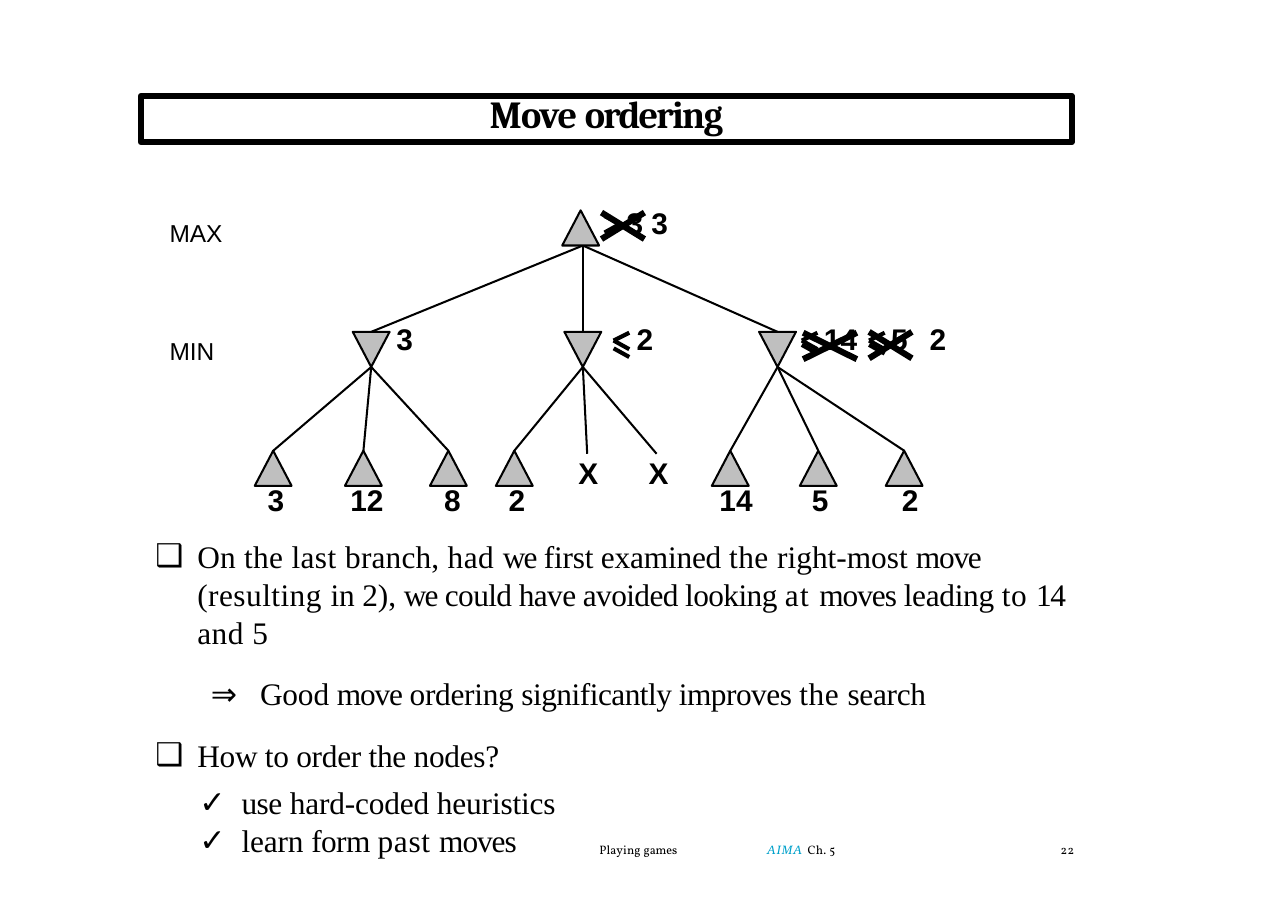
import pptx
import pptx.util
import pptx.dml.color
import pptx.enum.shapes
import pptx.enum.text
import pptx.oxml
import pptx.oxml.ns
import lxml.etree

Cm, Pt = pptx.util.Cm, pptx.util.Pt
PRESET = pptx.enum.shapes.MSO_SHAPE
BLACK = pptx.dml.color.RGBColor(0x00, 0x00, 0x00)
GREY = pptx.dml.color.RGBColor(0xBF, 0xBF, 0xBF)
CYAN = pptx.dml.color.RGBColor(0x00, 0xA1, 0xCB)
SERIF = "Times New Roman"

# Tree geometry in centimetres
NODE_WIDTH, NODE_HEIGHT = 0.85, 0.81
ROOT_TOP, MIN_TOP, LEAF_TOP = 4.85, 7.65, 10.39
ROOT_X = 13.44
# Each branch: x of the MIN node, then (x, label, label x) of its leaves
BRANCHES = [
    (8.56, [(6.3, "3", 6.17), (8.38, "12", 8.08), (10.34, "8", 10.24)]),
    (13.44, [(11.86, "2", 11.73), (13.54, "X", 13.34), (15.14, "X", 14.96)]),
    (17.93, [(16.84, "14", 16.59), (18.87, "5", 18.72), (20.85, "2", 20.8)]),
]
MIN_VALUES = [(9.14, "3"), (14.68, "2"), (19, "14"), (20.55, "5"), (21.44, "2")]

# Body text as (words, letter spacing in points)
BRANCH_NOTE = [
    ("On ", 0.1), ("the last ", 0.25), ("branch, ", 0.1), ("had ", 0.3),
    ("we ", -1.1), ("first examined ", -0.15), ("the ", 0.3),
    ("right-most ", 0), ("move ", -0.8), ("(resulting ", 0.3),
    ("in 2), ", -0.1), ("we ", -1.1), ("could have avoided looking ", -0.4),
    ("at ", 0.9), ("moves ", -0.7), ("leading ", -0.2), ("to ", 0.4),
    ("14 ", -0.8), ("and ", 0.3), ("5", -0.8),
]
CONCLUSION = [
    ("⇒ ", 5.2), ("Good ", -0.1), ("move ", -0.8), ("ordering ", -0.2),
    ("significantly improves ", -0.35), ("the ", 0.3), ("search", -0.2),
]
QUESTION = [("How to order the nodes?", -0.2)]
HEURISTICS = [("use ", -0.3), ("hard-coded heuristics", -0.1)]
LEARNING = [("learn ", -0.1), ("form ", -0.4), ("past ", 0.4), ("moves", -0.7)]


def format_span(span, font, size, bold=False, color=BLACK, spacing=0):
    span.font.name = font
    span.font.size = Pt(size)
    span.font.bold = bold
    span.font.color.rgb = color
    span._r.get_or_add_rPr().set("spc", str(round(spacing * 100)))


def add_spans(para, pieces, font, size, bold=False):
    for words, spacing in pieces:
        span = para.add_run()
        span.text = words
        format_span(span, font, size, bold, spacing=spacing)


def set_frame(frame):
    frame.margin_left = frame.margin_right = 0
    frame.margin_top = frame.margin_bottom = 0
    frame.vertical_anchor = pptx.enum.text.MSO_ANCHOR.TOP
    frame.auto_size = pptx.enum.text.MSO_AUTO_SIZE.NONE
    frame.word_wrap = True


def move(shape, left, top, width, height):
    shape.left, shape.top = Cm(left), Cm(top)
    shape.width, shape.height = Cm(width), Cm(height)


def add_text(page, left, top, words, size=19.5, bold=True, width=1.5):
    box = page.shapes.add_textbox(Cm(left), Cm(top), Cm(width), Cm(0.8))
    set_frame(box.text_frame)
    box.text_frame.text = words
    format_span(box.text_frame.paragraphs[0].runs[0], "Arial", size, bold)


def add_footer(page, left, width, pieces):
    box = page.shapes.add_textbox(Cm(left), Cm(19.46), Cm(width), Cm(0.36))
    set_frame(box.text_frame)
    para = box.text_frame.paragraphs[0]
    para.line_spacing = Pt(8.6)
    add_spans(para, pieces, "Vollkorn", 8)
    return para


def add_line(page, x1, y1, x2, y2, width=1.34):
    line = page.shapes.add_connector(
        pptx.enum.shapes.MSO_CONNECTOR.STRAIGHT, Cm(x1), Cm(y1), Cm(x2), Cm(y2))
    line.line.color.rgb = BLACK
    line.line.width = Pt(width)
    lxml.etree.SubElement(line._element.spPr, pptx.oxml.ns.qn("a:effectLst"))


def add_node(page, preset, center, top):
    node = page.shapes.add_shape(preset, Cm(center - NODE_WIDTH / 2), Cm(top),
                                 Cm(NODE_WIDTH), Cm(NODE_HEIGHT))
    node.shadow.inherit = False
    node.fill.solid()
    node.fill.fore_color.rgb = GREY
    node.line.color.rgb = BLACK
    node.line.width = Pt(1.34)


def add_inequality(page, tip, top, reach=0.36, drop=0.1):
    """Draw ≤, or ≥ when reach is negative."""
    for start, end in [(0.18, 0), (0.18, 0.38), (0.18 + drop, 0.38 + drop)]:
        add_line(page, tip, top + start, tip + reach, top + end, 2.68)


def add_cross(page, left, top, width):
    for start, end in [(0, 0.61), (0.61, 0)]:
        add_line(page, left, top + start, left + width, top + end, 4.02)


def add_item(para, pieces, before, after=0, margin=0.99, bullet=None):
    para.space_before, para.space_after = Pt(before), Pt(after)
    add_spans(para, pieces, SERIF, 20.5)
    props = para._p.get_or_add_pPr()
    props.set("marL", str(Cm(margin)))
    props.set("indent", str(Cm(-0.97) if bullet else 0))
    mark = lxml.etree.SubElement(
        props, pptx.oxml.ns.qn("a:buChar" if bullet else "a:buNone"))
    if bullet:
        mark.set("char", bullet)


def add_title(page):
    title = page.shapes.title
    move(title, 3.25, 2.21, 21.46, 1.07)
    title.line.color.rgb = BLACK
    title.line.width = Pt(3.98)
    set_frame(title.text_frame)
    para = title.text_frame.paragraphs[0]
    para.alignment = pptx.enum.text.PP_ALIGN.CENTER
    para.line_spacing = Pt(26.3)
    add_spans(para, [("Move ", -0.5), ("ordering", -1.1)], "Cambria", 25, True)


def add_tree(page):
    # Branches, nodes and leaf values
    for min_x, leaves in BRANCHES:
        add_line(page, ROOT_X, ROOT_TOP + NODE_HEIGHT, min_x, MIN_TOP)
        for leaf_x, value, value_x in leaves:
            pruned = value == "X"
            add_line(page, min_x, MIN_TOP + NODE_HEIGHT, leaf_x,
                     LEAF_TOP + (0.07 if pruned else 0))
            if not pruned:
                add_node(page, PRESET.ISOSCELES_TRIANGLE, leaf_x, LEAF_TOP)
            add_text(page, value_x, 10.47 if pruned else 11.11, value)
        add_node(page, PRESET.FLOWCHART_MERGE, min_x, MIN_TOP)
    add_node(page, PRESET.ISOSCELES_TRIANGLE, ROOT_X - 0.05, ROOT_TOP)

    # Level names and node values
    add_text(page, 3.91, 5.02, "MAX", 16, False)
    add_text(page, 3.91, 7.74, "MIN", 16, False)
    add_text(page, 14.45, 4.71, "3 3")
    for left, value in MIN_VALUES:
        add_text(page, left, 7.4, value)

    # Bounds, and the crosses over those replaced
    add_inequality(page, 14.3, 4.98, reach=-0.36)
    add_inequality(page, 14.15, 7.67, drop=0.18)
    add_inequality(page, 18.49, 7.67)
    add_inequality(page, 20.04, 7.67)
    add_cross(page, 13.87, 4.9, 0.99)
    add_cross(page, 18.52, 7.67, 1.24)
    add_cross(page, 20.04, 7.65, 0.99)


def add_body(page):
    body = page.placeholders[1]
    move(body, 3.56, 12.37, 21.13, 7.54)
    frame = body.text_frame
    set_frame(frame)
    first = frame.paragraphs[0]
    first.line_spacing = 1.01
    add_item(first, BRANCH_NOTE, 0.8, bullet="❑")
    conclusion = frame.add_paragraph()
    conclusion.level = 1
    add_item(conclusion, CONCLUSION, 15.6, margin=1.3)
    arrow = conclusion.runs[0]
    arrow.font.name = "Roboto Condensed"
    arrow.font.italic = True
    add_item(frame.add_paragraph(), QUESTION, 15.6, after=6, bullet="❑")
    for pieces in (HEURISTICS, LEARNING):
        add_item(frame.add_paragraph(), pieces, 0.3, margin=2.01, bullet="✓")


def main():
    deck = pptx.Presentation()
    deck.slide_width, deck.slide_height = Cm(29.7), Cm(21)
    page = deck.slides.add_slide(deck.slide_layouts[1])
    add_title(page)
    add_tree(page)
    add_body(page)

    # Footer
    add_footer(page, 13.82, 2.2, [("Playing ", 0.1), ("games", -0.1)])
    book = add_footer(page, 17.68, 2, [("AIMA ", 0.7), ("Ch. 5", 0.2)]).runs[0]
    format_span(book, "TeX Gyre Bonum", 8, color=CYAN, spacing=0.7)
    book.font.italic = True
    add_footer(page, 24.46, 0.6, [("22", 0.2)])
    deck.save("out.pptx")


if __name__ == "__main__":
    main()
